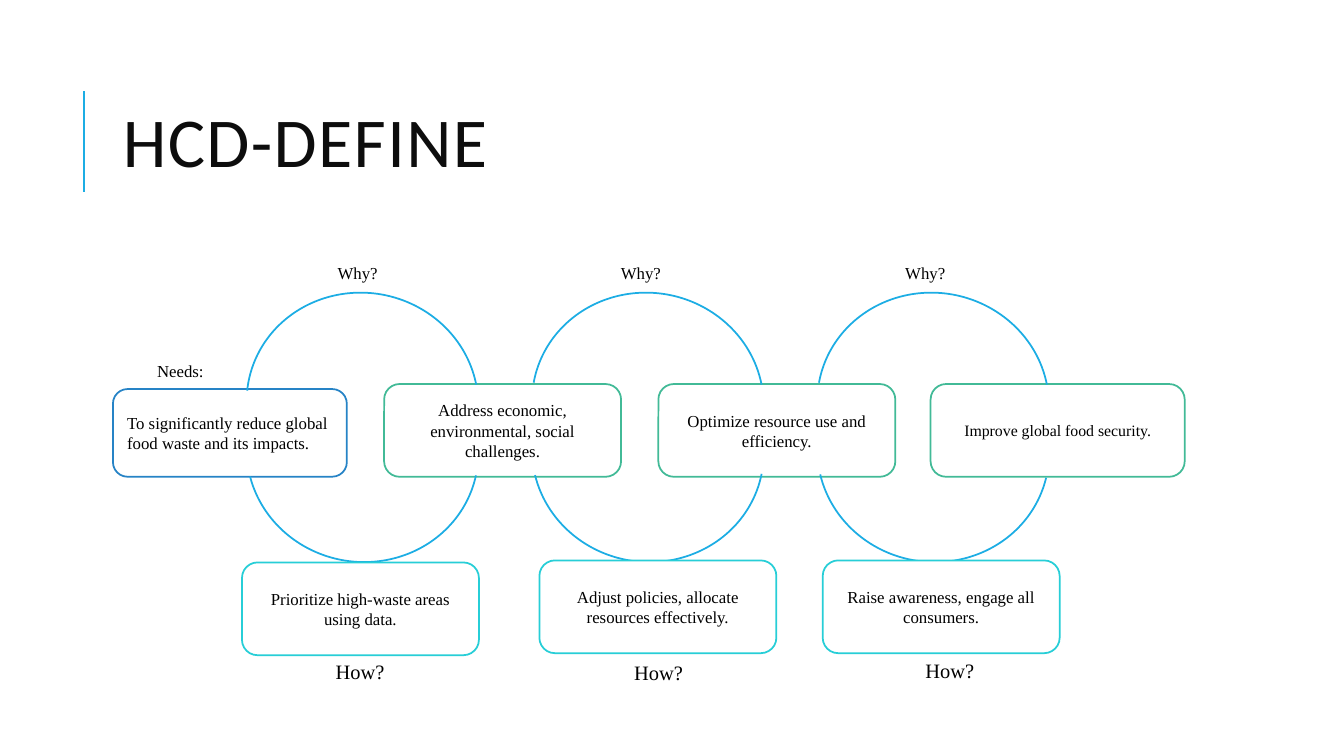
from lxml import etree
from pptx import Presentation
from pptx.dml.color import RGBColor
from pptx.enum.shapes import MSO_CONNECTOR, MSO_SHAPE
from pptx.enum.text import MSO_ANCHOR, MSO_AUTO_SIZE, PP_ALIGN
from pptx.oxml.ns import qn
from pptx.util import Inches, Pt

COLORS = {"title": "0D0D0D", "text": "000000", "box": "FFFFFF", "arc": "1CADE4",
          "need": "2683C6", "why": "42BA97", "how": "27CED7"}

TITLE = "HCD-DEFINE"
NEED = "To significantly reduce global food waste and its impacts."
# Text, left, width, text size
REASONS = [
    ("Address economic, environmental, social challenges.", 3.81, 2.35, 12),
    ("Optimize resource use and efficiency.", 6.53, 2.35, 12),
    ("Improve global food security.", 9.23, 2.52, 11.3),
]
# Text, left, top
ACTIONS = [
    ("Prioritize high-waste areas using data.", 2.4, 5.58),
    ("Adjust policies, allocate resources effectively.", 5.35, 5.56),
    ("Raise awareness, engage all consumers.", 8.16, 5.56),
]
# Text, left, top, width, height, text size
LABELS = [("Needs:", 1.46, 3.53, 1.31, 0.3, 12)]
LABELS += [("Why?", left, 2.56, 0.74, 0.3, 12) for left in (3.25, 6.06, 8.88)]
LABELS += [("How?", left, top, 0.95, 0.35, 14.6)
           for left, top in ((3.23, 6.49), (6.19, 6.5), (9.08, 6.48))]

ARC_LEFT, ARC_STEP, ARC_SIZE = 2.5, 2.83, (2.19, 2.3)
# Top, rotation, then the (start, end) adjustments of each arc in the row
ARC_ROWS = [
    (2.85, 280.2, [(159.61, 42.32), (162, 42.32), (162, 42.32)]),
    (3.33, 98.8, [(163.85, 41.19), (163.36, 41.64), (164.54, 41.87)]),
]
BOX_TOP, BOX_H, BOX_W = 3.81, 0.92, 2.35
LINE_W = 1.25


def rgb(name):
    return RGBColor.from_string(COLORS[name])


def write(sp, text, size=12, font="Times New Roman", color="text",
          align=PP_ALIGN.LEFT, anchor=MSO_ANCHOR.TOP, after=5.5):
    tf = sp.text_frame
    tf.word_wrap = True
    tf.vertical_anchor = anchor
    p = tf.paragraphs[0]
    p.alignment = align
    p.space_after = Pt(after)
    r = p.add_run()
    r.text = text
    r.font.size, r.font.name = Pt(size), font
    r.font.color.rgb = rgb(color)
    return p


def add_textbox(slide, *place):
    return slide.shapes.add_textbox(*map(Inches, place))


def add_outlined(slide, kind, place, line):
    sp = slide.shapes.add_shape(kind, *map(Inches, place))
    sp.shadow.inherit = False
    sp.line.color.rgb = rgb(line)
    sp.line.width = Pt(LINE_W)
    return sp


def add_box(slide, text, place, line, size=12, align=PP_ALIGN.CENTER):
    sp = add_outlined(slide, MSO_SHAPE.ROUNDED_RECTANGLE, place, line)
    sp.fill.solid()
    sp.fill.fore_color.rgb = rgb("box")
    write(sp, text, size, align=align, anchor=MSO_ANCHOR.MIDDLE)


def add_heading(slide):
    bar = slide.shapes.add_connector(
        MSO_CONNECTOR.STRAIGHT, *map(Inches, (0.83, 1.9, 0.83, 0.9)))
    bar.line.color.rgb = rgb("arc")
    bar.line.width = Pt(1.5)
    etree.SubElement(bar._element.spPr, qn("a:effectLst"))
    p = write(add_textbox(slide, 1.12, 0.64, 10.63, 1.64), TITLE, 50, "Calibri",
              "title", anchor=MSO_ANCHOR.MIDDLE, after=0)
    p.line_spacing = 0.8
    p.runs[0].font._element.set("spc", "100")


def add_arcs(slide):
    for top, rotation, arcs in ARC_ROWS:
        for i, (start, end) in enumerate(arcs):
            place = (ARC_LEFT + i * ARC_STEP, top, *ARC_SIZE)
            arc = add_outlined(slide, MSO_SHAPE.ARC, place, "arc")
            arc.fill.background()
            arc.rotation = rotation
            arc.adjustments[0], arc.adjustments[1] = start, end


def main():
    prs = Presentation()
    prs.slide_width, prs.slide_height = Inches(13.33), Inches(7.5)
    slide = prs.slides.add_slide(prs.slide_layouts[6])
    add_heading(slide)
    add_box(slide, NEED, (1.12, 3.86, 2.32, 0.87), "need", align=PP_ALIGN.LEFT)
    for text, left, width, size in REASONS:
        add_box(slide, text, (left, BOX_TOP, width, BOX_H), "why", size)
    add_arcs(slide)
    for text, left, top in ACTIONS:
        add_box(slide, text, (left, top, BOX_W, BOX_H), "how")
    for text, *place, size in LABELS:
        sp = add_textbox(slide, *place)
        write(sp, text, size)
        sp.text_frame.auto_size = MSO_AUTO_SIZE.SHAPE_TO_FIT_TEXT
    prs.save("out.pptx")


if __name__ == "__main__":
    main()
